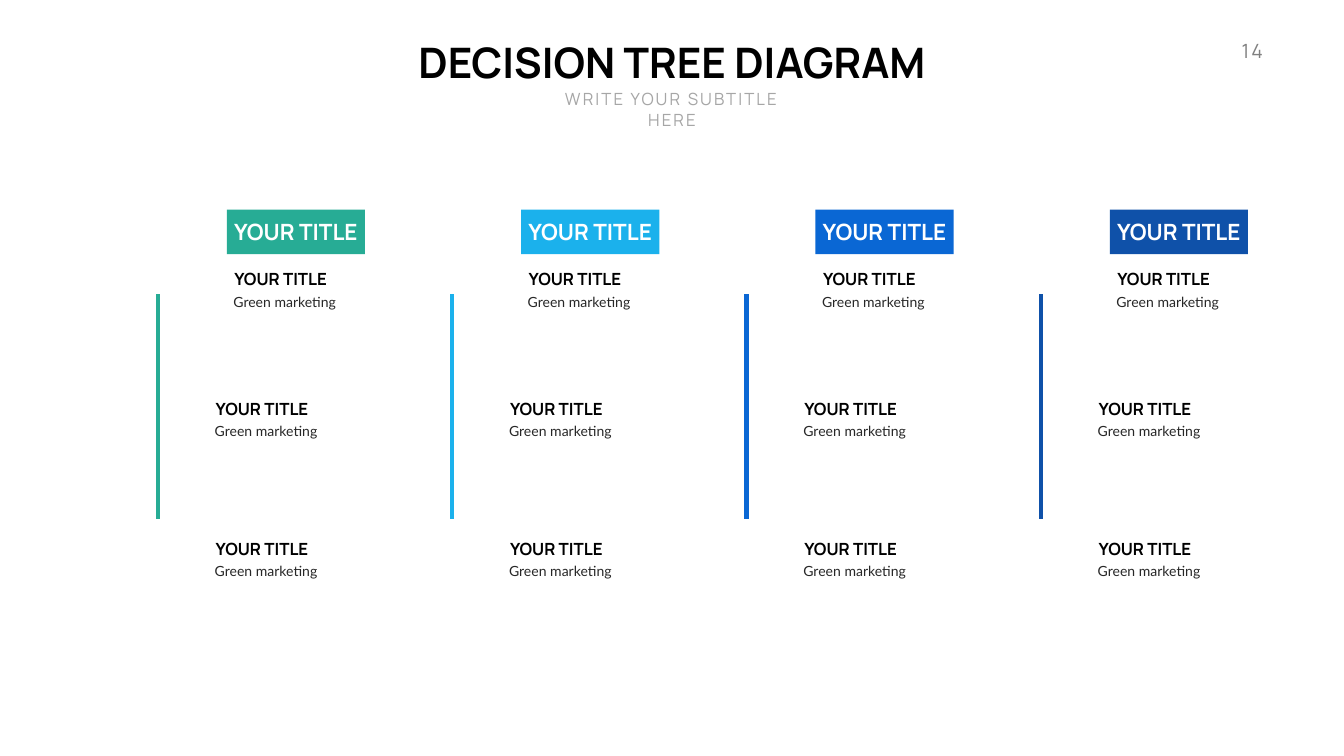
from dataclasses import dataclass

from pptx import Presentation
from pptx.dml.color import RGBColor as RGB
from pptx.enum.shapes import MSO_CONNECTOR as Link, MSO_SHAPE as Shape
from pptx.enum.text import MSO_ANCHOR as Anchor, MSO_AUTO_SIZE as Fit, PP_ALIGN as Align
from pptx.oxml.ns import qn
from pptx.util import Cm, Pt
from lxml.etree import SubElement


@dataclass(frozen=True)
class Theme:
    head: str = "Manrope"
    body: str = "Lato"
    ink: str = "000000"
    text: str = "272727"
    muted: str = "A6A6A6"
    page: str = "808080"
    white: str = "FFFFFF"
    hues: tuple = ("27AC95", "1BB1EC", "0A67D4", "0F51A9")
    title: int = 60
    label: int = 32
    number: int = 28
    item: int = 24
    note: int = 20
    rule: int = 6


THEME = Theme()
ITEMS = [("YOUR TITLE", "Green marketing")] * 3
GROUPS = [("YOUR TITLE", ITEMS)] * 4
# Left and top of each item, from the corner of its column
SPOTS = [(3.61, 2.87), (2.67, 9.4), (2.67, 16.43)]


def place(shape, x, y, w, h):
    shape.left, shape.top, shape.width, shape.height = Cm(x), Cm(y), Cm(w), Cm(h)


def write(shape, text, size, color, font=THEME.head, bold=False,
          align=Align.LEFT, anchor=Anchor.TOP, wrap=False, gap=0):
    """Fill a shape with one formatted paragraph; gap is letter spacing in points."""
    frame = shape.text_frame
    frame.auto_size = Fit.NONE
    frame.word_wrap = wrap
    frame.vertical_anchor = anchor
    para = frame.paragraphs[0]
    para.alignment = align
    run = para.add_run()
    run.text = text
    run.font.name = font
    run.font.size = Pt(size)
    run.font.bold = bold
    run.font.color.rgb = RGB.from_string(color)
    if gap:
        run.font._element.set("spc", str(gap * 100))


def add_text(slide, box, text, size, color, **style):
    shape = slide.shapes.add_textbox(*map(Cm, box))
    write(shape, text, size, color, **style)


def add_rule(slide, x, y, length, hue):
    line = slide.shapes.add_connector(Link.STRAIGHT, Cm(x), Cm(y), Cm(x), Cm(y + length))
    line.line.color.rgb = RGB.from_string(hue)
    line.line.width = Pt(THEME.rule)
    SubElement(line._element.spPr, qn("a:effectLst"))


def add_label(slide, box, text, hue):
    shape = slide.shapes.add_shape(Shape.RECTANGLE, *map(Cm, box))
    shape.shadow.inherit = False
    shape.fill.solid()
    shape.fill.fore_color.rgb = RGB.from_string(hue)
    shape.line.fill.background()
    write(shape, text, THEME.label, THEME.white, bold=True,
          align=Align.CENTER, anchor=Anchor.MIDDLE)


def add_item(slide, x, y, title, note):
    add_text(slide, (x, y, 5.23, 1.27), title, THEME.item, THEME.ink, bold=True)
    add_text(slide, (x - 0.05, y + 1.22, 7.34, 1.12), note, THEME.note, THEME.text,
             font=THEME.body, wrap=True)


def add_column(slide, x, y, hue, label, items):
    add_rule(slide, x, y + 4.27, 11.3, hue)
    add_label(slide, (x + 3.48, y, 6.96, 2.24), label, hue)
    for (dx, dy), (title, note) in zip(SPOTS, items):
        add_item(slide, x + dx, y + dy, title, note)


def add_tree(slide, x, y, pitch):
    for i, (hue, (label, items)) in enumerate(zip(THEME.hues, GROUPS)):
        add_column(slide, x + i * pitch, y, hue, label, items)


def add_header(slide, x, y, w):
    title = slide.shapes.title
    place(title, x, y, w, 2.82)
    write(title, "DECISION TREE DIAGRAM", THEME.title, THEME.ink, bold=True,
          align=Align.CENTER)
    width = 13.79
    add_text(slide, (x + (w - width) / 2, y + 2.67, width, 1.27),
             "WRITE YOUR SUBTITLE HERE", THEME.item, THEME.muted,
             align=Align.CENTER, wrap=True, gap=3)


def main():
    deck = Presentation()
    deck.slide_width, deck.slide_height = Cm(67.72), Cm(38.1)
    slide = deck.slides.add_slide(deck.slide_layouts[5])
    add_header(slide, 20.4, 1.7, 26.92)
    add_text(slide, (61.65, 1.83, 2.24, 1.45), "14", THEME.number, THEME.page,
             align=Align.RIGHT, gap=3)
    add_tree(slide, 7.95, 10.57, 14.83)
    deck.save("out.pptx")


if __name__ == "__main__":
    main()
